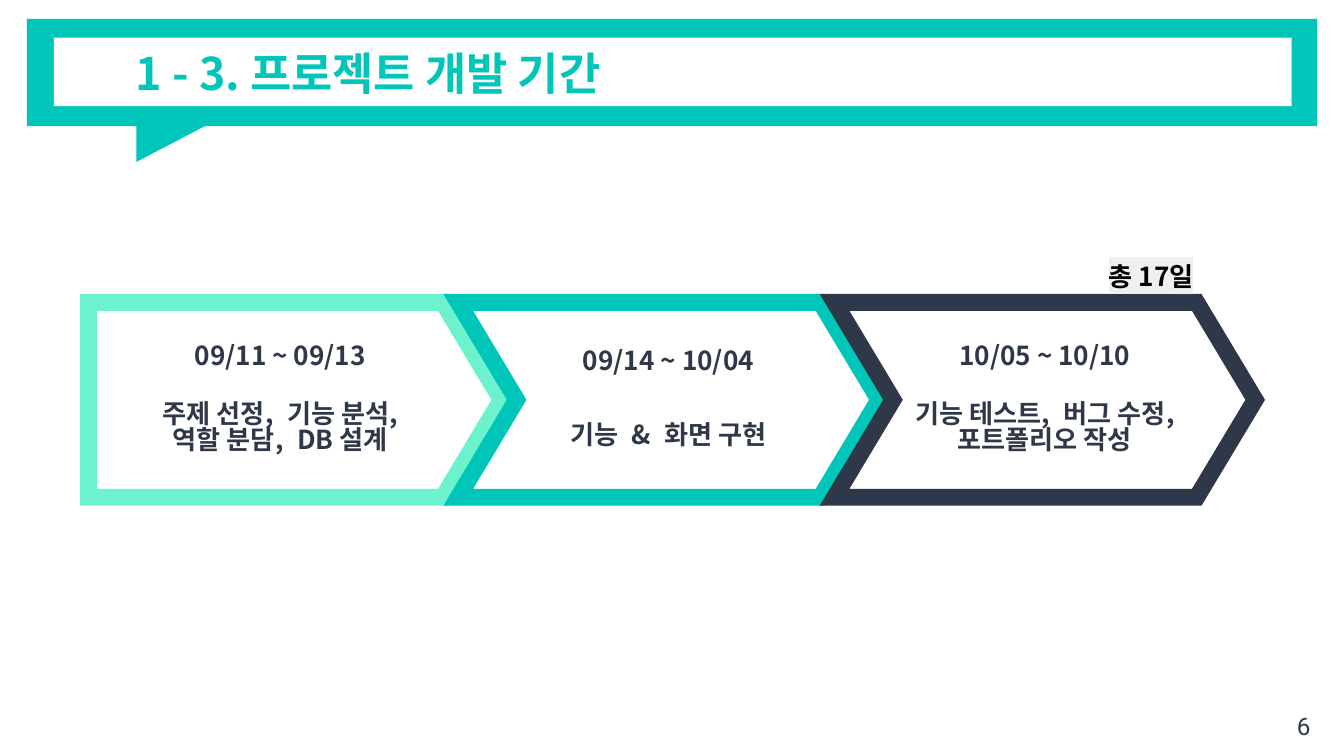
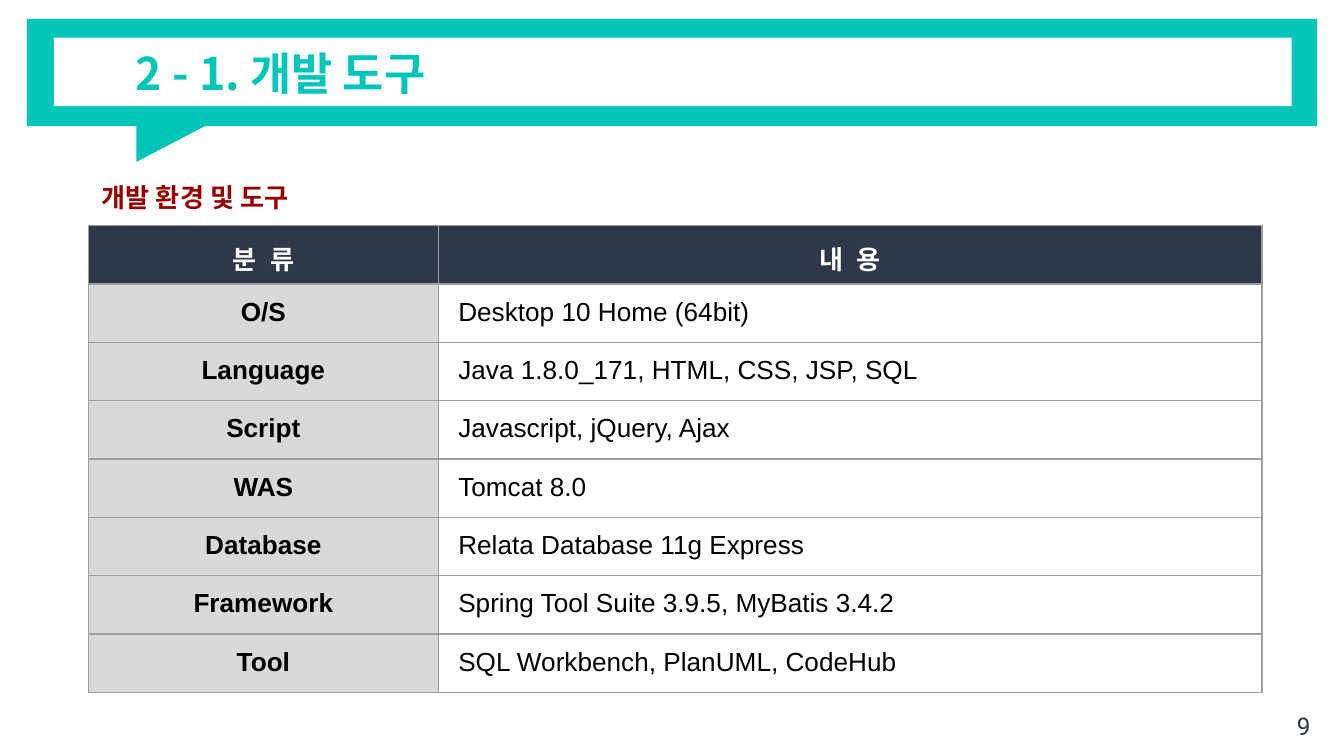
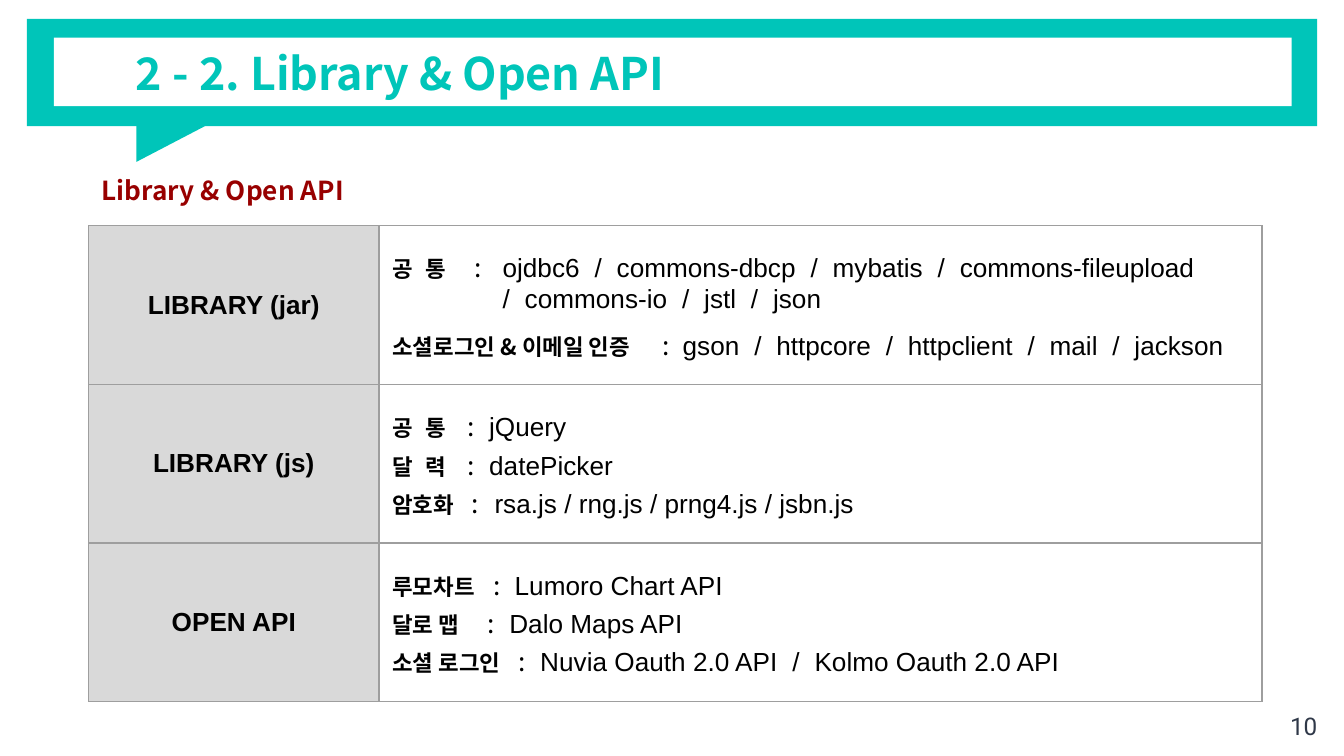
from lxml.etree import SubElement
from pptx import Presentation
from pptx.dml.color import RGBColor
from pptx.enum.shapes import MSO_SHAPE
from pptx.enum.text import MSO_ANCHOR, PP_ALIGN
from pptx.oxml.ns import qn
from pptx.util import Inches, Pt

TEAL, MINT, NAVY = "00C5B9", "6CF3CE", "2F3848"
WHITE, BLACK, RED = "FFFFFF", "000000", "980000"
LABEL_GREY, BORDER_GREY, HIGHLIGHT_GREY = "D9D9D9", "9E9E9E", "EFEFEF"
KOREAN, LATIN, NUMBER = "Noto Sans CJK KR", "Arial", "Roboto"
WIDE_GAP = "¦"  # becomes one space with extra letter spacing

STAGES = [
    (0.66, 3.07, MSO_SHAPE.PENTAGON, MINT, 17,
     ["09/11 ~ 09/13", "주제 선정,¦기능 분석,", "역할 분담,¦DB 설계"]),
    (3.41, 3.13, MSO_SHAPE.CHEVRON, TEAL, 25.5,
     ["09/14 ~ 10/04", "기능¦&¦화면 구현"]),
    (6.21, 3.13, MSO_SHAPE.CHEVRON, NAVY, 17,
     ["10/05 ~ 10/10", "기능 테스트,¦버그 수정,", "포트폴리오 작성"]),
]

TOOLS = [
    ("O/S", "Desktop 10 Home (64bit)"),
    ("Language", "Java 1.8.0_171, HTML, CSS, JSP, SQL"),
    ("Script", "Javascript, jQuery, Ajax"),
    ("WAS", "Tomcat 8.0"),
    ("Database", "Relata Database 11g Express"),
    ("Framework", "Spring Tool Suite 3.9.5, MyBatis 3.4.2"),
    ("Tool", "SQL Workbench, PlanUML, CodeHub"),
]

# Each entry: label, colon position, value position, value, space before
LIBRARIES = [
    ("LIBRARY (jar)", [
        ("공¦통", 0.61, 0.82,
         "ojdbc6¦/¦commons-dbcp¦/¦mybatis¦/¦commons-fileupload", 0),
        ("", 0, 0.82, "/¦commons-io¦/¦jstl¦/¦json", 0),
        ("소셜로그인 & 이메일 인증", 2.01, 2.16,
         "gson¦/¦httpcore¦/¦httpclient¦/¦mail¦/¦jackson", 6),
    ]),
    ("LIBRARY (js)", [
        ("공¦통", 0.56, 0.72, "jQuery", 0),
        ("달¦력", 0.56, 0.72, "datePicker", 0),
        ("암호화", 0.59, 0.76, "rsa.js / rng.js / prng4.js / jsbn.js", 0),
    ]),
    ("OPEN API", [
        ("루모차트", 0.75, 0.91, "Lumoro Chart API", 0),
        ("달로 맵", 0.71, 0.87, "Dalo Maps API", 0),
        ("소셜 로그인", 0.94, 1.1, "Nuvia Oauth 2.0 API¦/¦Kolmo Oauth 2.0 API", 0),
    ]),
]


def rgb(value):
    return RGBColor.from_string(value)


def add_color(parent, tag, color):
    """Append a colour element, such as a:solidFill, and return it."""
    element = SubElement(parent, qn(tag))
    SubElement(element, qn("a:srgbClr")).set("val", color)
    return element


class Deck:
    def __init__(self):
        self.presentation = Presentation()
        self.presentation.slide_width = Inches(10)
        self.presentation.slide_height = Inches(5.625)
        self.slide = None

    def new_slide(self, title, number):
        layout = self.presentation.slide_layouts[5]
        self.slide = self.presentation.slides.add_slide(layout)
        self.shape(MSO_SHAPE.RECTANGLE, 0.2, 0.14, 9.6, 0.8, fill=TEAL)
        tail = self.shape(MSO_SHAPE.RIGHT_TRIANGLE, 1.18, 0.68, 0.36, 0.69, fill=TEAL)
        tail.rotation = 90
        self.shape(MSO_SHAPE.RECTANGLE, 0.4, 0.28, 9.21, 0.51, fill=WHITE)
        self.title(title)
        self.text_box(9.4, 5.19, 0.6, 0.43, str(number), align=PP_ALIGN.CENTER,
                      size=13, font=NUMBER, color=NAVY, bold=False)

    def title(self, text):
        title = self.slide.shapes.title
        title.left, title.top = Inches(0.91), Inches(0.15)
        title.width, title.height = Inches(8.7), Inches(0.78)
        title.element.getparent().append(title.element)  # bring above the band
        paragraph = self.frame(title, MSO_ANCHOR.MIDDLE).paragraphs[0]
        paragraph.alignment = PP_ALIGN.LEFT
        self.add_text(paragraph, text, size=24, color=TEAL)

    def shape(self, kind, left, top, width, height, fill=None, line=None):
        shape = self.slide.shapes.add_shape(
            kind, Inches(left), Inches(top), Inches(width), Inches(height))
        shape.shadow.inherit = False
        if fill:
            shape.fill.solid()
            shape.fill.fore_color.rgb = rgb(fill)
        else:
            shape.fill.background()
        if line:
            shape.line.color.rgb = rgb(line)
            shape.line.width = Pt(9)
            outline = shape.element.spPr.find(qn("a:ln"))
            SubElement(outline, qn("a:miter")).set("lim", "800000")
        else:
            shape.line.fill.background()
        return shape

    def frame(self, shape, anchor=MSO_ANCHOR.TOP):
        """Return the text frame, wrapped, with the shared insets."""
        frame = shape.text_frame
        frame.word_wrap = True
        frame.vertical_anchor = anchor
        frame.margin_left = frame.margin_right = Inches(0.1)
        frame.margin_top = frame.margin_bottom = Inches(0.1)
        return frame

    def add_text(self, paragraph, text, **style):
        for index, part in enumerate(text.split(WIDE_GAP)):
            if index:
                self.add_run(paragraph, " ", spacing=400, **style)
            self.add_run(paragraph, part, **style)

    def add_run(self, paragraph, text, size=14, font=KOREAN, color=BLACK,
                bold=True, highlight=None, spacing=0):
        run = paragraph.add_run()
        run.text = text
        run.font.size, run.font.bold = Pt(size), bold
        run.font.color.rgb = rgb(color)
        run.font.name = font
        properties = run._r.get_or_add_rPr()
        SubElement(properties, qn("a:ea")).set("typeface", font)
        if spacing:
            properties.set("spc", str(spacing))
        if highlight:
            mark = add_color(properties, "a:highlight", highlight)
            properties.find(qn("a:solidFill")).addnext(mark)

    def text_box(self, left, top, width, height, text, align=PP_ALIGN.LEFT, **style):
        box = self.slide.shapes.add_textbox(
            Inches(left), Inches(top), Inches(width), Inches(height))
        paragraph = self.frame(box).paragraphs[0]
        paragraph.alignment = align
        self.add_text(paragraph, text, **style)

    def stage(self, left, width, kind, color, gap, lines):
        shape = self.shape(kind, left, 2.25, width, 1.45, line=color)
        shape.adjustments[0] = 0.3
        frame = self.frame(shape, MSO_ANCHOR.MIDDLE)
        for index, line in enumerate(lines):
            paragraph = frame.add_paragraph() if index else frame.paragraphs[0]
            paragraph.alignment = PP_ALIGN.CENTER
            paragraph.line_spacing = 0.82
            if index == 1:
                paragraph.space_before = Pt(gap)
            self.add_text(paragraph, line, color=NAVY)

    def table(self, column_widths, row_heights):
        table = self.slide.shapes.add_table(
            len(row_heights), len(column_widths), Inches(0.66), Inches(1.68),
            Inches(sum(column_widths)), Inches(sum(row_heights))).table
        table.first_row = table.horz_banding = False
        for column, width in zip(table.columns, column_widths):
            column.width = Inches(width)
        for row, height in zip(table.rows, row_heights):
            row.height = Inches(height)
        return table

    def cell(self, cell, fill, anchor=MSO_ANCHOR.TOP, margin_left=0.1):
        """Style a cell and return its first paragraph."""
        cell.margin_left = Inches(margin_left)
        cell.margin_right = cell.margin_top = cell.margin_bottom = Inches(0.1)
        cell.vertical_anchor = anchor
        properties = cell._tc.get_or_add_tcPr()
        for side in ("a:lnL", "a:lnR", "a:lnT", "a:lnB"):
            border = SubElement(properties, qn(side))
            border.set("w", str(int(Pt(0.75))))
            add_color(border, "a:solidFill", BORDER_GREY)
        cell.fill.solid()
        cell.fill.fore_color.rgb = rgb(fill)
        return cell.text_frame.paragraphs[0]

    def label_cell(self, cell, text, fill=LABEL_GREY, anchor=MSO_ANCHOR.TOP, **style):
        paragraph = self.cell(cell, fill, anchor)
        paragraph.alignment = PP_ALIGN.CENTER
        self.add_text(paragraph, text, **style)

    def entry(self, paragraph, label, colon_at, value_at, value, space_before):
        """Add label, colon and value, lined up by tab stops."""
        properties = paragraph._p.get_or_add_pPr()
        if label:
            stops = SubElement(properties, qn("a:tabLst"))
            for position in (colon_at, value_at):
                stop = SubElement(stops, qn("a:tab"))
                stop.set("pos", str(int(Inches(position))))
                stop.set("algn", "l")
            self.add_text(paragraph, label, size=12)
            self.add_text(paragraph, "\t:\t", bold=False)
        else:
            properties.set("marL", str(int(Inches(value_at))))
        if space_before:
            paragraph.space_before = Pt(space_before)
        self.add_text(paragraph, value, font=LATIN, bold=False)


def add_schedule(deck):
    deck.new_slide("1 - 3. 프로젝트 개발 기간", 6)
    for stage in STAGES:
        deck.stage(*stage)
    deck.text_box(8.15, 1.84, 1.17, 0.42, "총 17일", highlight=HIGHLIGHT_GREY)


def add_tools(deck):
    deck.new_slide("2 - 1. 개발 도구", 9)
    deck.text_box(0.66, 1.25, 4.13, 0.47, "개발 환경 및 도구", color=RED)
    table = deck.table([2.6, 6.13], [0.42] + [0.43] * 4 + [0.42] * 2 + [0.43])
    for column, heading in enumerate(["분¦류", "내¦용"]):
        deck.label_cell(table.cell(0, column), heading, fill=NAVY, color=WHITE)
    for row, (label, value) in enumerate(TOOLS, start=1):
        deck.label_cell(table.cell(row, 0), label, font=LATIN)
        paragraph = deck.cell(table.cell(row, 1), WHITE, margin_left=0.15)
        deck.add_text(paragraph, value, font=LATIN, bold=False)


def add_libraries(deck):
    deck.new_slide("2 - 2. Library & Open API", 10)
    deck.text_box(0.66, 1.2, 4.13, 0.47, "Library & Open API", color=RED)
    table = deck.table([2.16, 6.57], [1.18] * 3)
    for row, (label, entries) in enumerate(LIBRARIES):
        deck.label_cell(table.cell(row, 0), label, anchor=MSO_ANCHOR.MIDDLE, font=LATIN)
        cell = table.cell(row, 1)
        paragraph = deck.cell(cell, WHITE, MSO_ANCHOR.MIDDLE)
        for index, entry in enumerate(entries):
            if index:
                paragraph = cell.text_frame.add_paragraph()
            deck.entry(paragraph, *entry)


def main():
    deck = Deck()
    add_schedule(deck)
    add_tools(deck)
    add_libraries(deck)
    deck.presentation.save("out.pptx")


if __name__ == "__main__":
    main()
